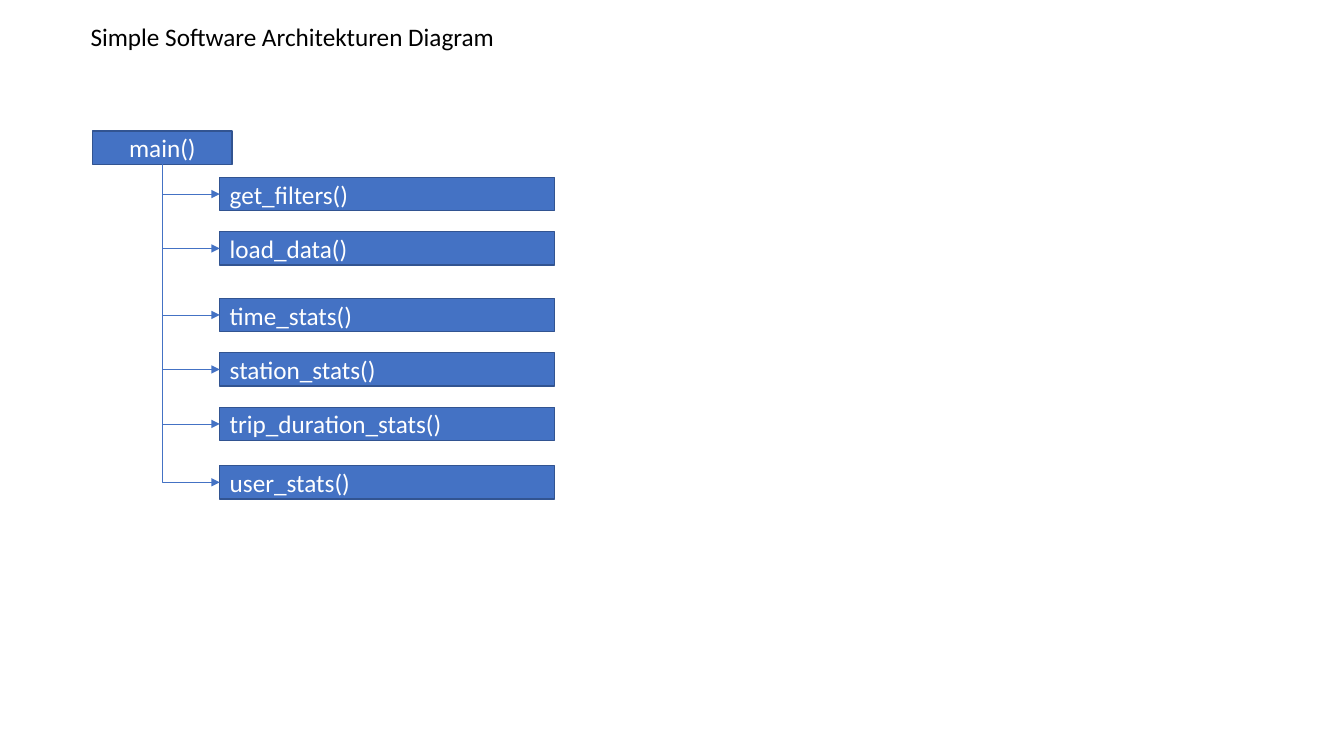
from dataclasses import dataclass

from lxml.etree import SubElement
from pptx import Presentation
from pptx.dml.color import RGBColor
from pptx.enum.shapes import MSO_CONNECTOR, MSO_SHAPE
from pptx.enum.text import MSO_ANCHOR, MSO_AUTO_SIZE, PP_ALIGN
from pptx.oxml.ns import qn
from pptx.shapes.autoshape import Shape
from pptx.shapes.shapetree import SlideShapes
from pptx.text.text import TextFrame
from pptx.util import Inches, Pt

BLUE, DARK_BLUE, WHITE, BLACK = "4472C4", "325491", "FFFFFF", "000000"
BOX_HEIGHT = 0.33
CALLEE_LEFT, CALLEE_WIDTH = 2.18, 3.32


@dataclass(frozen=True)
class FunctionBox:
    label: str
    top: float
    left: float = CALLEE_LEFT
    width: float = CALLEE_WIDTH
    align: PP_ALIGN = PP_ALIGN.LEFT


MAIN = FunctionBox("main()", 1.3, left=0.92, width=1.38, align=PP_ALIGN.CENTER)
CALLEES = [
    FunctionBox("get_filters()", 1.76),
    FunctionBox("load_data()", 2.3),
    FunctionBox("time_stats()", 2.96),
    FunctionBox("station_stats()", 3.5),
    FunctionBox("trip_duration_stats()", 4.04),
    FunctionBox("user_stats()", 4.62),
]


def rgb(hex_color: str) -> RGBColor:
    return RGBColor.from_string(hex_color)


def write_text(frame: TextFrame, text: str, *, color: str, size: float = 18,
               font: str = "Calibri", align: PP_ALIGN = PP_ALIGN.LEFT) -> None:
    paragraph = frame.paragraphs[0]
    paragraph.alignment = align
    run = paragraph.add_run()
    run.text = text
    run.font.name = font
    run.font.size = Pt(size)
    run.font.color.rgb = rgb(color)


def draw_box(shapes: SlideShapes, box: FunctionBox) -> Shape:
    rectangle = shapes.add_shape(
        MSO_SHAPE.RECTANGLE, Inches(box.left), Inches(box.top),
        Inches(box.width), Inches(BOX_HEIGHT))
    rectangle.shadow.inherit = False
    rectangle.fill.solid()
    rectangle.fill.fore_color.rgb = rgb(BLUE)
    rectangle.line.color.rgb = rgb(DARK_BLUE)
    rectangle.line.width = Pt(1)
    rectangle.text_frame.vertical_anchor = MSO_ANCHOR.MIDDLE
    write_text(rectangle.text_frame, box.label, color=WHITE, align=box.align)
    return rectangle


def draw_call(shapes: SlideShapes, caller: Shape, callee: Shape) -> None:
    """Run a one-bend arrow from the caller's bottom to the callee's left side."""
    arrow = shapes.add_connector(MSO_CONNECTOR.ELBOW, 0, 0, 0, 0)
    arrow.begin_connect(caller, 2)
    arrow.end_connect(callee, 1)
    arrow.line.color.rgb = rgb(BLUE)
    arrow.line.width = Pt(0.5)

    # The preset bends across then down; a mirrored quarter turn bends down then across.
    across, down = arrow.width, arrow.height
    arrow.left += (across - down) // 2
    arrow.top += (down - across) // 2
    arrow.width, arrow.height = down, across
    properties = arrow._element.spPr
    properties.find(qn("a:prstGeom")).set("prst", "bentConnector2")
    transform = properties.find(qn("a:xfrm"))
    transform.set("rot", "16200000")
    transform.set("flipH", "1")
    SubElement(properties.find(qn("a:ln")), qn("a:tailEnd"), type="triangle")
    SubElement(properties, qn("a:effectLst"))


def draw_title(shapes: SlideShapes) -> None:
    title = shapes.add_textbox(Inches(0.8), Inches(0.16), Inches(4.54), Inches(0.4))
    title.text_frame.word_wrap = True
    title.text_frame.auto_size = MSO_AUTO_SIZE.SHAPE_TO_FIT_TEXT
    write_text(title.text_frame, "Simple Software Architekturen Diagram", color=BLACK)


def main() -> None:
    presentation = Presentation()
    presentation.slide_width = Inches(13.33)
    presentation.slide_height = Inches(7.5)
    shapes = presentation.slides.add_slide(presentation.slide_layouts[6]).shapes

    main_box = draw_box(shapes, MAIN)
    callee_boxes = [draw_box(shapes, callee) for callee in CALLEES]
    for callee_box in callee_boxes:
        draw_call(shapes, main_box, callee_box)
    draw_title(shapes)

    presentation.save("out.pptx")


if __name__ == "__main__":
    main()
